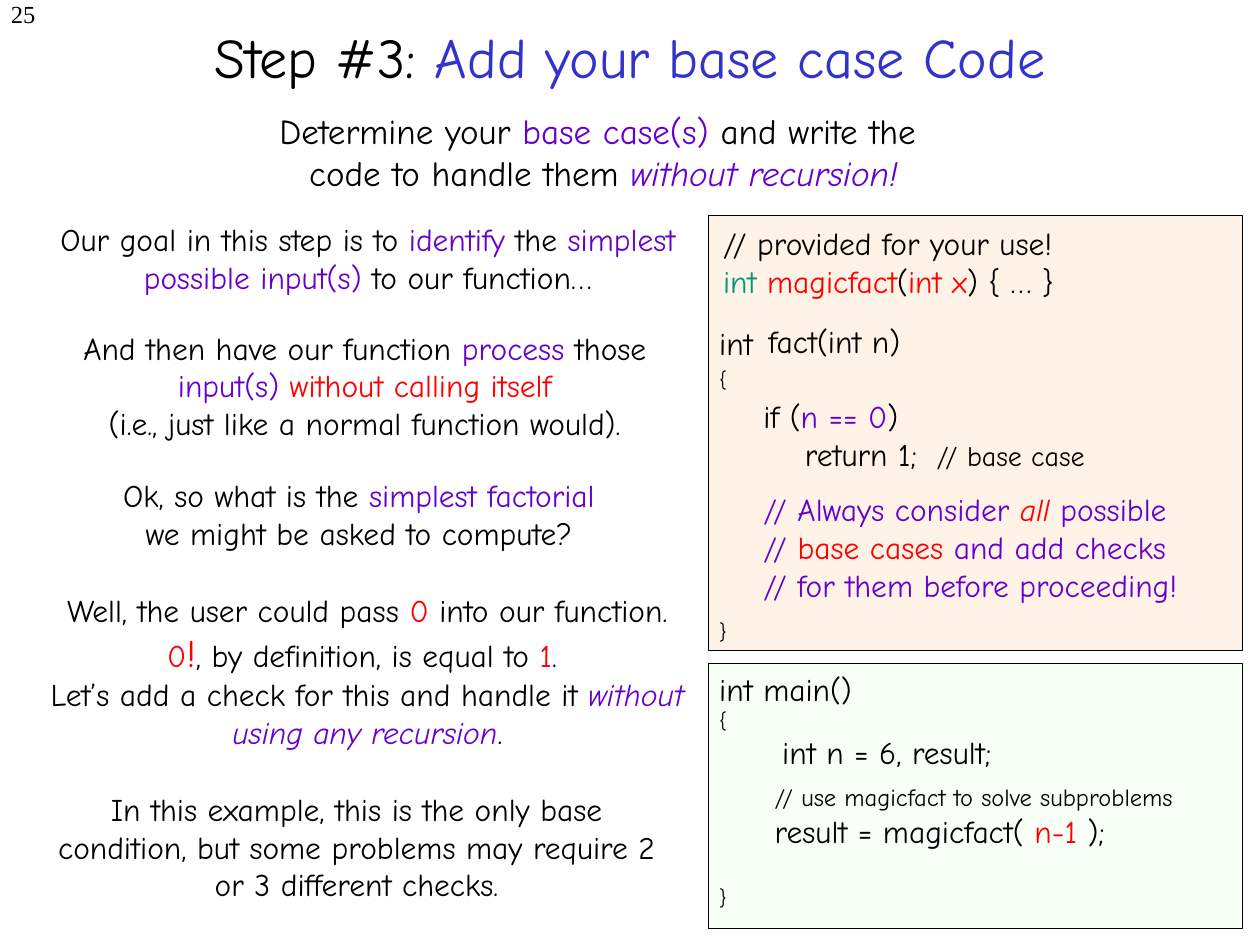
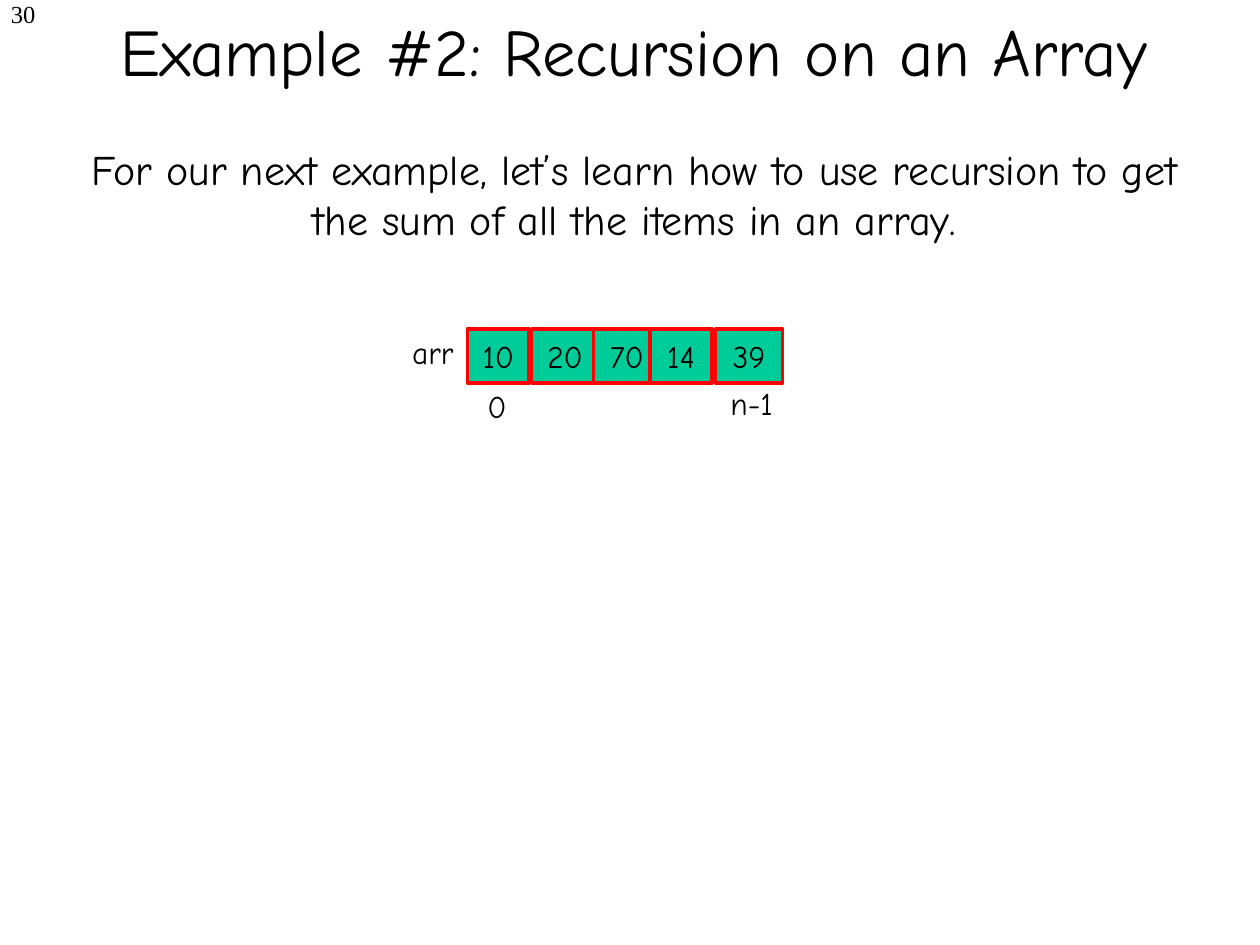
from dataclasses import dataclass

from pptx import Presentation
from pptx.dml.color import RGBColor
from pptx.enum.shapes import MSO_SHAPE
from pptx.enum.text import MSO_ANCHOR, PP_ALIGN
from pptx.util import Inches, Pt

BLACK = RGBColor(0x00, 0x00, 0x00)
BLUE = RGBColor(0x33, 0x33, 0xCC)
PURPLE = RGBColor(0x66, 0x00, 0xCC)
RED = RGBColor(0xFF, 0x00, 0x00)
GREEN = RGBColor(0x00, 0x99, 0x73)
CELL_GREEN = RGBColor(0x00, 0xCC, 0x99)
PEACH = RGBColor(0xFF, 0xF3, 0xE7)
MINT = RGBColor(0xF7, 0xFF, 0xF7)

BODY_FONT = "Comic Neue"
NUMBER_FONT = "Times New Roman"
LINE_HEIGHT = 1.2  # of the text size


@dataclass
class Run:
    text: str
    color: RGBColor = BLACK
    size: float = None
    italic: bool = False


@dataclass
class Line:
    runs: list
    size: float = 18
    indent: float = 0
    before: float = 0


# Slide 1: explanations on the left, as (box, lines)
EXPLANATIONS = [
    ((1.67, 0.82, 6.24, 0.77), [Line([
        Run("Determine your "), Run("base case(s)", PURPLE),
        Run(" and write the \ncode to handle them "),
        Run("without recursion!", PURPLE, italic=True)], size=20)]),
    ((0.31, 1.7, 5.22, 0.7), [Line([
        Run("Our goal in this step is to "), Run("identify", PURPLE), Run(" the "),
        Run("simplest possible input(s)", PURPLE), Run(" to our function…")])]),
    ((0.43, 2.56, 4.93, 1), [
        Line([Run("And then have our function "), Run("process ", PURPLE),
              Run("those"), Run(" input(s) ", PURPLE),
              Run("without calling itself", RED)]),
        Line([Run("(i.e., just like a normal function would).")])]),
    ((0.4, 3.73, 4.98, 0.7), [Line([
        Run("Ok, so what is the "), Run("simplest factorial \n", PURPLE),
        Run("we might be asked to compute? ")])]),
    ((0.19, 4.64, 5.45, 1.37), [
        Line([Run("Well, the user could pass "), Run("0", RED),
              Run(" into our function.")]),
        Line([Run("0", RED), Run("!", RED, 22), Run(", by definition, is equal to "),
              Run("1", RED), Run(". \nLet’s add a check for this and handle it "),
              Run("without using any recursion", PURPLE, italic=True), Run(".")])]),
    ((0.23, 6.22, 5.2, 1), [Line([
        Run("In this example, this is the only base condition, "
            "but some problems may require 2 or 3 different checks.")])]),
]

# Slide 1: code panels, as (box, fill), and the code on them
CODE_PANELS = [
    ((5.62, 1.71, 4.24, 3.45), PEACH),
    ((5.62, 5.26, 4.24, 2.11), MINT),
]
CODE = [
    ((5.64, 1.73, 3.67, 0.71), [
        Line([Run("// provided for your use!")]),
        Line([Run("int ", GREEN), Run("magicfact", RED), Run("("),
              Run("int x", RED), Run(") { … }")])]),
    ((5.61, 2.52, 2.49, 0.4), [Line([Run("int")])]),
    ((6, 2.51, 2.49, 0.4), [Line([Run("fact(int n)")])]),
    ((5.61, 2.86, 2.49, 2.3), [
        Line([Run("{")], size=12),
        Line([Run("}")], size=12, before=9 * 12 * LINE_HEIGHT)]),
    ((5.96, 3.1, 3.5, 0.7), [
        Line([Run("if ("), Run("n == 0", PURPLE), Run(")")]),
        Line([Run("return 1; "), Run(" // base case", size=16)], indent=0.33)]),
    ((5.96, 3.84, 4, 1), [Line([
        Run("// Always consider ", PURPLE), Run("all", RED, italic=True),
        Run(" possible \n// ", PURPLE), Run("base cases", RED),
        Run(" and add checks \n// for them before proceeding!", PURPLE)])]),
    ((5.61, 5.27, 4.23, 2), [
        Line([Run("int main()")]),
        Line([Run("{")], size=12),
        Line([Run("int n = 6, result;")], indent=0.5),
        Line([Run("}")], size=12, before=3 * 18 * LINE_HEIGHT)]),
    ((6.05, 6.16, 3.9, 0.64), [
        Line([Run("// use magicfact to solve subproblems")], size=14),
        Line([Run("result = magicfact("), Run(" n-1", RED), Run(" );")])]),
]

# Slide 2: array cells, as (value, left, width), and labels, as (text, box)
INTRO = [Line([Run("For our next example, let’s learn how to use recursion to get "
                   "the sum of all the items in an array.")], size=24)]
ARRAY_TOP, ARRAY_HEIGHT = 2.61, 0.43
ARRAY_CELLS = [("10", 3.71, 0.49), ("20", 4.22, 0.53), ("70", 4.71, 0.53),
               ("14", 5.16, 0.49), ("39", 5.68, 0.53)]
ARRAY_LABELS = [("arr", (3.15, 2.59, 0.57, 0.4)), ("0", (3.77, 3.02, 0.35, 0.4)),
                ("n-1", (5.69, 3, 0.55, 0.4))]


def write(shape, lines, align, wrap=True, anchor=MSO_ANCHOR.TOP, font=BODY_FONT):
    frame = shape.text_frame
    frame.word_wrap = wrap
    frame.vertical_anchor = anchor
    for index, line in enumerate(lines):
        paragraph = frame.add_paragraph() if index else frame.paragraphs[0]
        paragraph.alignment = align
        paragraph.space_before = Pt(line.before)
        if line.indent:
            paragraph._p.get_or_add_pPr().set("marL", str(Inches(line.indent)))
        for part in line.runs:
            for piece_index, piece in enumerate(part.text.split("\n")):
                if piece_index:
                    paragraph.add_line_break()
                if piece:
                    run = paragraph.add_run()
                    run.text = piece
                    run.font.name = font
                    run.font.size = Pt(part.size or line.size)
                    run.font.italic = part.italic
                    run.font.color.rgb = part.color


def add_text(slide, box, lines, align=PP_ALIGN.LEFT, **options):
    write(slide.shapes.add_textbox(*map(Inches, box)), lines, align, **options)


def add_rectangle(slide, box, fill, line_color, line_width):
    shape = slide.shapes.add_shape(MSO_SHAPE.RECTANGLE, *map(Inches, box))
    shape.shadow.inherit = False
    shape.fill.solid()
    shape.fill.fore_color.rgb = fill
    shape.line.color.rgb = line_color
    shape.line.width = Pt(line_width)
    return shape


def add_slide(presentation, number, title_box, title):
    """Blank slide with its number and title."""
    slide = presentation.slides.add_slide(presentation.slide_layouts[6])
    add_text(slide, (-1.7, -0.06, 2.08, 0.5), [Line([Run(number)], size=14)],
             PP_ALIGN.RIGHT, font=NUMBER_FONT)
    add_text(slide, title_box, [title], PP_ALIGN.CENTER, anchor=MSO_ANCHOR.MIDDLE)
    return slide


def build_base_case(presentation):
    title = Line([Run("Step #3: "), Run("Add your base case Code", BLUE)], size=32)
    slide = add_slide(presentation, "25", (0.75, -0.18, 8.5, 1.25), title)
    for box, lines in EXPLANATIONS:
        add_text(slide, box, lines, PP_ALIGN.CENTER)
    for box, fill in CODE_PANELS:
        add_rectangle(slide, box, fill, BLACK, 0.25)
    for box, lines in CODE:
        add_text(slide, box, lines)


def build_array(presentation):
    title = Line([Run("Example #2: Recursion on an Array")], size=38)
    slide = add_slide(presentation, "30", (0.35, -0.23, 9.36, 1.25), title)
    add_text(slide, (0.57, 1.09, 8.93, 0.91), INTRO, PP_ALIGN.CENTER)
    for value, left, width in ARRAY_CELLS:
        cell = add_rectangle(slide, (left, ARRAY_TOP, width, ARRAY_HEIGHT),
                             CELL_GREEN, RED, 2)
        write(cell, [Line([Run(value)])], PP_ALIGN.CENTER, wrap=False,
              anchor=MSO_ANCHOR.MIDDLE)
    for text, box in ARRAY_LABELS:
        add_text(slide, box, [Line([Run(text)])], PP_ALIGN.CENTER, wrap=False)


def main():
    presentation = Presentation()
    presentation.slide_width = Inches(10)
    presentation.slide_height = Inches(7.5)
    build_base_case(presentation)
    build_array(presentation)
    presentation.save("out.pptx")


if __name__ == "__main__":
    main()
